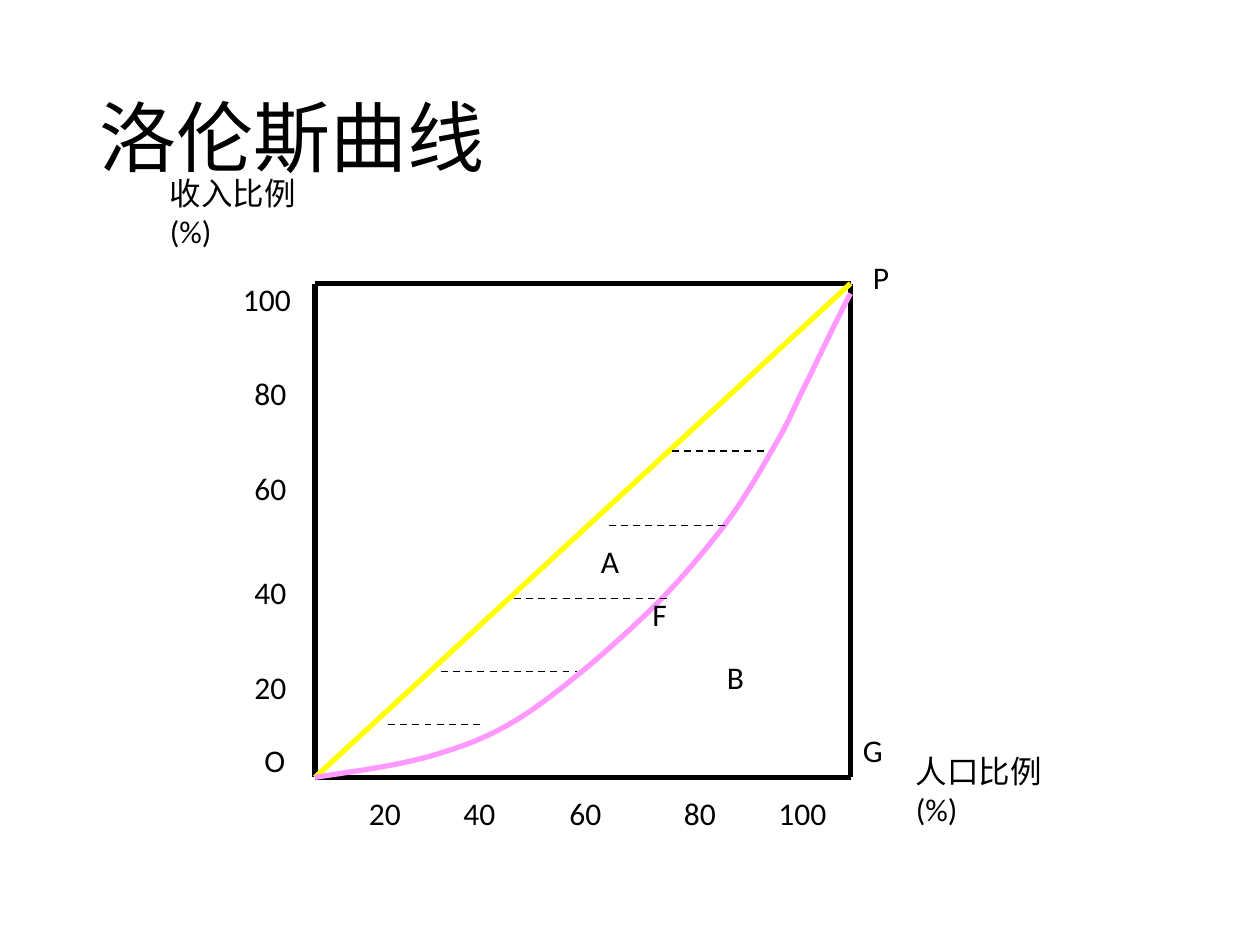
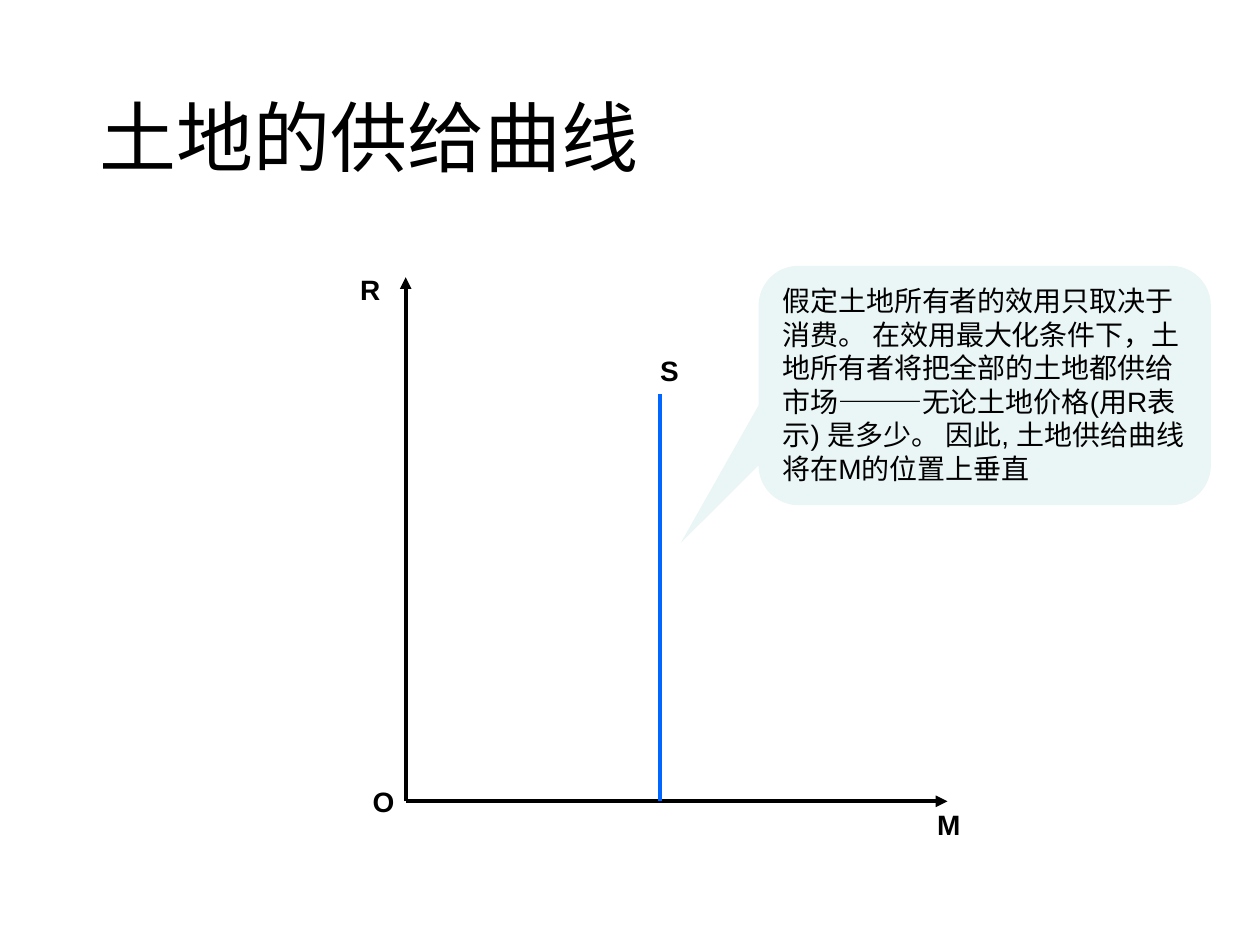
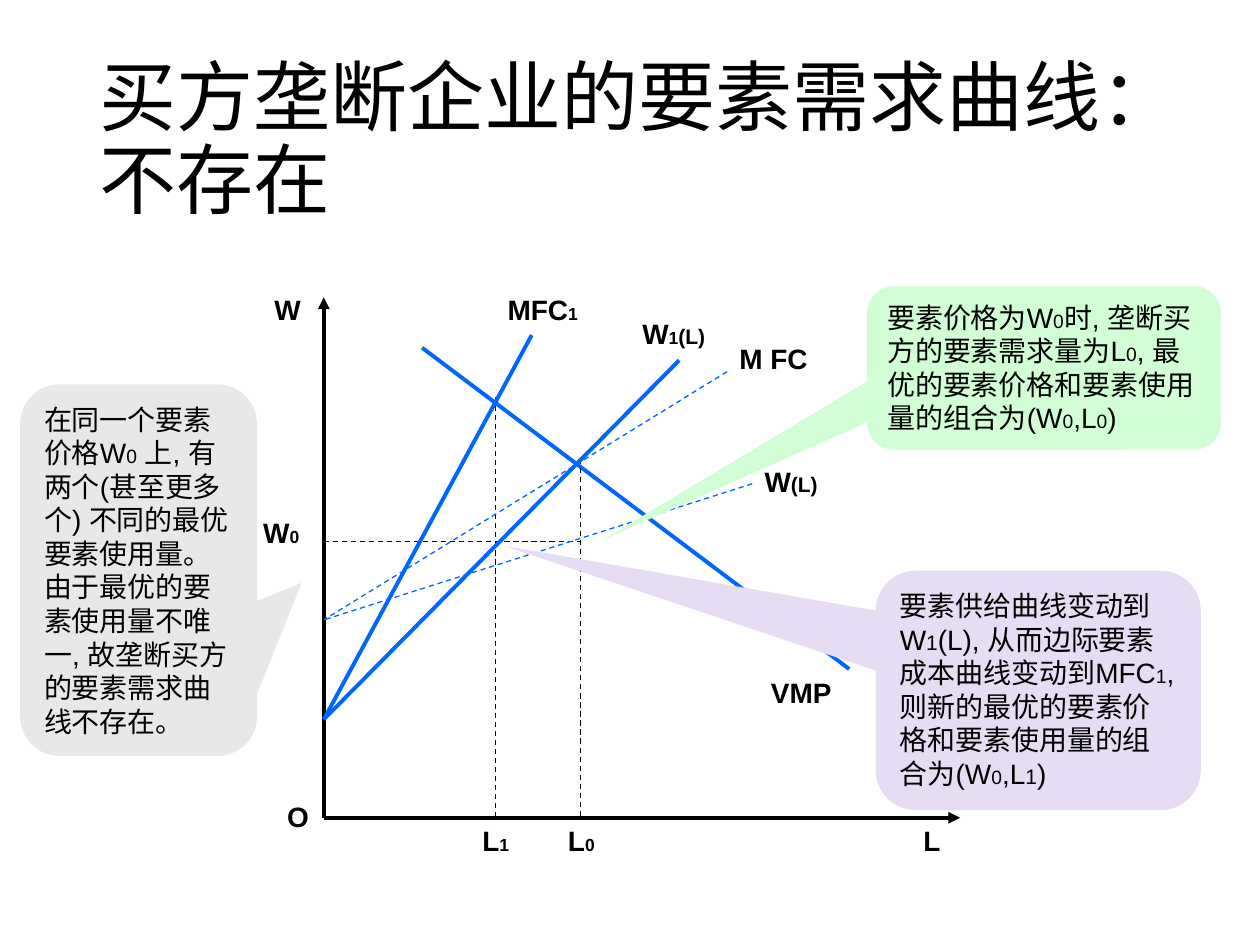
from pptx import Presentation
from pptx.dml.color import RGBColor as Rgb
from pptx.enum.dml import MSO_LINE as Dash
from pptx.enum.shapes import MSO_CONNECTOR as Link, MSO_SHAPE as Kind
from pptx.enum.text import MSO_ANCHOR as Anchor, PP_ALIGN as Align
from pptx.oxml.ns import qn
from pptx.oxml.xmlchemy import OxmlElement as Node
from pptx.util import Inches, Pt

WIDE, HIGH = Inches(10), Inches(7.5)
BLACK, BLUE, YELLOW, PINK = "000000", "0066FF", "FFFF00", "FF99FF"
MINT, GREEN, LILAC, GREY = "EAF5F6", "D2FED6", "E6DCF4", "E8E9E7"
HEAD, BODY = "Calibri", "Arial"


def col(n):
    """Turn grid columns, ten to the slide, into a length."""
    return round(WIDE * n / 10)


def row(n):
    """Turn grid rows, seven and a half to the slide, into a length."""
    return round(HIGH * n / 7.5)


def hue(code):
    """Turn a hex string into a colour."""
    return Rgb.from_string(code)


def write(shape, text, size, face, bold=False):
    """Fill a frame with one paragraph; '|' parts runs and '@' gives a run's size."""
    frame = shape.text_frame
    frame.word_wrap = True
    frame.vertical_anchor = Anchor.TOP
    para = frame.paragraphs[0]
    para.alignment = Align.LEFT
    font = para.font
    font.name, font.size, font.bold = face, Pt(size), bold
    font.color.rgb = hue(BLACK)
    for part in text.split("|"):
        words, _, small = part.partition("@")
        run = para.add_run()
        run.text = words
        if small:
            run.font.size = Pt(int(small))
    return para


def label(page, text, x, y, wide=0.58, high=0.5, size=18, face=HEAD, bold=False):
    """Add a text box."""
    box = page.shapes.add_textbox(col(x), row(y), col(wide), row(high))
    return box, write(box, text, size, face, bold)


def mark(page, text, x, y, wide=0.7):
    """Add a bold name to a diagram."""
    label(page, text, x, y, wide, 0.45, 16, BODY, True)


def start(deck, text):
    """Add a blank slide with its title."""
    page = deck.slides.add_slide(deck.slide_layouts[6])
    box, para = label(page, text, 0.69, 0.4, 8.62, 1.45, 44)
    box.text_frame.vertical_anchor = Anchor.MIDDLE
    para.line_spacing = 0.9
    return page


def line(page, a, b, code=BLACK, width=2.25, dash=False, arrow=False):
    """Draw a straight line from a to b."""
    rule = page.shapes.add_connector(Link.STRAIGHT, col(a[0]), row(a[1]), col(b[0]), row(b[1]))
    rule.line.color.rgb = hue(code)
    rule.line.width = Pt(width)
    if dash:
        rule.line.dash_style = Dash.DASH
    props = rule._element.spPr
    if arrow:
        tip = Node("a:tailEnd")
        tip.set("type", "triangle")
        props.find(qn("a:ln")).append(tip)
    props.append(Node("a:effectLst"))


def axes(page, x, y, top, right):
    """Draw two arrows from the origin."""
    for end in ((x, top), (right, y)):
        line(page, (x, y), end, arrow=True)


def bend(a, b, c, d, steps=12):
    """List the points of one cubic curve after its start."""
    spots = []
    for i in range(1, steps + 1):
        t = i / steps
        u = 1 - t
        spots.append(tuple(u**3 * p + 3 * u * u * t * q + 3 * u * t * t * r + t**3 * s
                           for p, q, r, s in zip(a, b, c, d)))
    return spots


def curve(page, knots, code, width):
    """Draw a smooth open line through cubic knots."""
    spots = []
    for i in range(0, len(knots) - 1, 3):
        spots += bend(*knots[i:i + 4])
    x, y = knots[0]
    pen = page.shapes.build_freeform(col(x), row(y))
    pen.add_line_segments([(col(x), row(y)) for x, y in spots], close=False)
    shape = pen.convert_to_shape()
    shape.shadow.inherit = False
    shape.fill.background()
    shape.line.color.rgb = hue(code)
    shape.line.width = Pt(width)


def callout(page, text, x, y, wide, high, tip, code):
    """Add a speech bubble pointing at tip."""
    shape = page.shapes.add_shape(Kind.ROUNDED_RECTANGULAR_CALLOUT, col(x), row(y), col(wide), row(high))
    shape.shadow.inherit = False
    shape.adjustments[0], shape.adjustments[1] = tip
    shape.fill.solid()
    shape.fill.fore_color.rgb = hue(code)
    shape.line.fill.background()
    write(shape, text, 16, BODY)


def lorenz(deck):
    """Build the Lorenz curve slide."""
    page = start(deck, "洛伦斯曲线")
    left, right, top, base = 2.5, 6.75, 2.25, 6.17
    for x in (left, right):
        line(page, (x, top), (x, base), width=3)
    for y in (base, top):
        line(page, (left, y), (right, y), width=3)
    line(page, (left, base), (right, top), YELLOW, 3)
    curve(page, [(left, base), (2.82, 6.12), (3.14, 6.08), (3.42, 6), (3.69, 5.92), (3.89, 5.85),
                 (4.17, 5.67), (4.44, 5.49), (4.82, 5.17), (5.08, 4.92), (5.35, 4.67), (5.57, 4.4),
                 (5.75, 4.17), (5.93, 3.93), (6.06, 3.69), (6.17, 3.5), (6.28, 3.31), (6.32, 3.19),
                 (6.42, 3), (6.51, 2.81), (6.69, 2.44), (right, 2.33)], PINK, 3)
    for text, x, y in (("人口比例(%)", 7.17, 5.92), ("收入比例(%)", 1.25, 1.33)):
        label(page, text, x, y, 1.25, 0.9)
    for i, (x, y) in enumerate(zip((2.83, 3.58, 4.42, 5.33), (5.25, 4.5, 3.67, 2.92)), 1):
        label(page, str(20 * i), x, 6.25)
        label(page, str(20 * i), 1.92, y)
    for x, y in ((6.08, 6.25), (1.83, 2.17)):
        label(page, "100", x, y, 0.75)
    for text, x, y in (("O", 2, 5.83), ("P", 6.83, 2), ("G", 6.75, 5.75),
                       ("F", 5.08, 4.67), ("A", 4.67, 4.25), ("B", 5.67, 5.17)):
        label(page, text, x, y)
    for x, end, y in ((5.33, 6.08, 3.58), (3.08, 3.83, 5.75), (4.83, 5.75, 4.17),
                      (4.08, 5.33, 4.75), (3.5, 4.58, 5.33)):
        line(page, (x, y), (end, y), width=1, dash=True)


def land(deck):
    """Build the land supply slide."""
    page = start(deck, "土地的供给曲线")
    base, stock = 6.36, 5.24
    axes(page, 3.22, base, 2.2, 7.52)
    for text, x, y in (("R", 2.76, 2.11), ("O", 2.86, 6.18), ("M", 7.34, base), ("S", 5.14, 2.76)):
        mark(page, text, x, y, 0.4)
    line(page, (stock, 3.13), (stock, base), BLUE)
    callout(page, "假定土地所有者的效用只取决于消费。 在效用最大化条件下，土地所有者将把全部的土地都供给市场"
            "———无论土地价格(用R表示) 是多少。 因此, 土地供给曲线将在M的位置上垂直",
            6.02, 2.11, 3.59, 1.9, (-0.672, 0.658), MINT)


def buyer(deck):
    """Build the monopsony slide."""
    page = start(deck, "买方垄断企业的要素需求曲线：不存在")
    left, base, wage = 2.57, 6.49, 4.3
    axes(page, left, base, 2.36, 7.62)
    line(page, (3.35, 2.76), (6.74, 5.31), BLUE)
    line(page, (left, wage), (4.61, wage), width=0.75, dash=True)
    for x, y in ((4.61, 3.64), (3.93, 3.15)):
        line(page, (x, y), (x, base), width=0.75, dash=True)
    for end in ((5.97, 3.84), (5.77, 2.95)):
        line(page, end, (left, 4.92), BLUE, 0.75, True)
    for end in ((5.39, 2.86), (4.22, 2.66)):
        line(page, (left, 5.71), end, BLUE)
    for text, x, y, wide in (
            ("W", 2.08, 2.27, 0.77), ("O", 2.18, 6.3, 0.42), ("L", 7.23, base, 0.42),
            ("W|(L)@12", 5.97, 3.64, 1.54), ("W|0@10", 1.99, 4.04, 0.68),
            ("M FC", 5.77, 2.66, 1.36), ("VMP", 6.02, 5.31, 0.78), ("L|0@10", 4.41, base, 0.64),
            ("MFC|1@10", 3.93, 2.27, 1.01), ("W|1@10|(L)@12", 5, 2.46, 0.83),
            ("L|1@10", 3.73, base, 0.66)):
        mark(page, text, x, y, wide)
    callout(page, "要素价格为W|0@11|时, 垄断买方的要素需求量为L|0@11|, 最优的要素价格和要素使用量的组合为(W|0@11|,L|0@11|)",
            6.88, 2.27, 2.81, 1.3, (-1.247, 1.051), GREEN)
    callout(page, "要素供给曲线变动到W|1@12|(L), 从而边际要素成本曲线变动到MFC|1@11|, "
            "则新的最优的要素价格和要素使用量的组合为(W|0@11|,L|1@12|)",
            6.95, 4.53, 2.58, 1.9, (-1.643, -0.604), LILAC)
    callout(page, "在同一个要素价格W|0@11| 上, 有两个(甚至更多个) 不同的最优要素使用量。 "
            "由于最优的要素使用量不唯一, 故垄断买方的要素需求曲线不存在。",
            0.16, 3.05, 1.88, 2.95, (0.689, 0.034), GREY)


def main():
    """Build and save the deck."""
    deck = Presentation()
    deck.slide_width, deck.slide_height = WIDE, HIGH
    for build in (lorenz, land, buyer):
        build(deck)
    deck.save("out.pptx")


if __name__ == "__main__":
    main()
